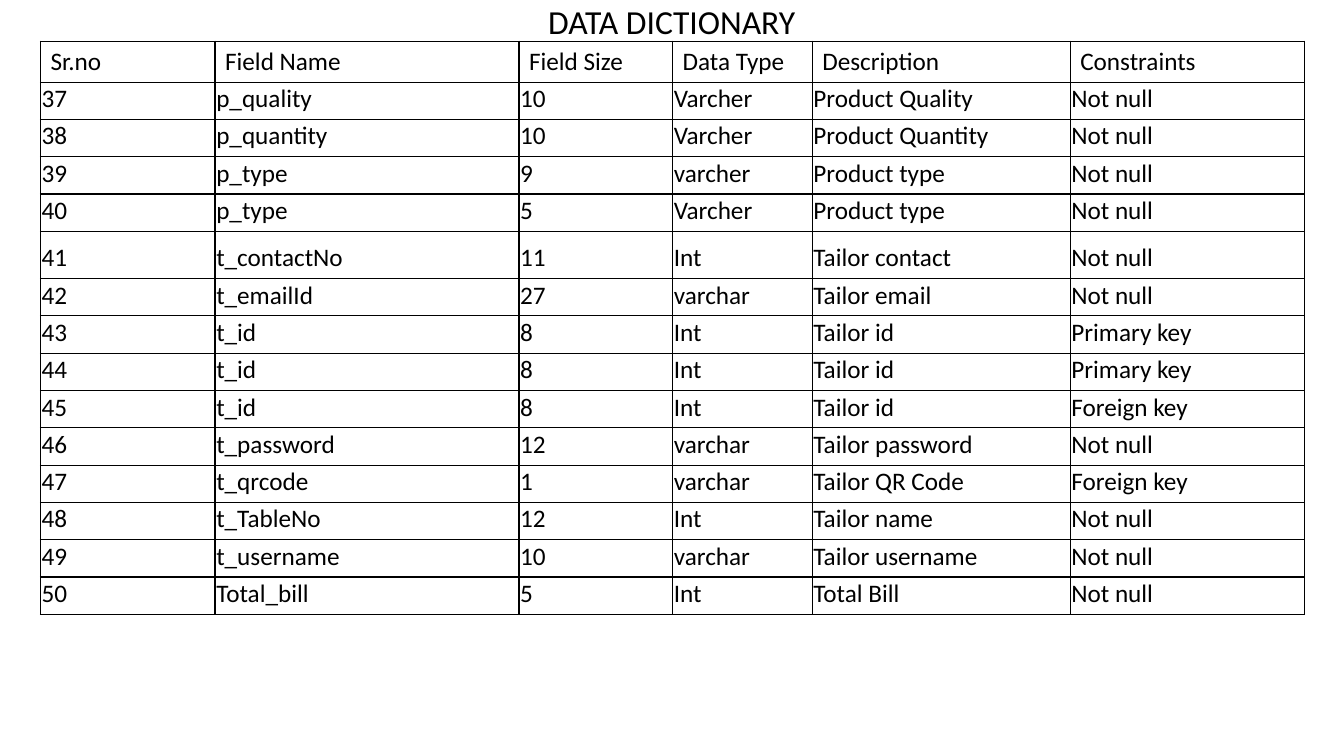
import pptx
import pptx.dml.color
import pptx.enum.text
import pptx.oxml
import pptx.oxml.ns
import pptx.util

Cm = pptx.util.Cm
Pt = pptx.util.Pt
Anchor = pptx.enum.text.MSO_ANCHOR

# Content
TITLE = "DATA DICTIONARY"
HEADINGS = ("Sr.no", "Field Name", "Field Size", "Data Type", "Description", "Constraints")
FIRST_NUMBER = 37
FIELDS = [
    ("p_quality", "10", "Varcher", "Product Quality", "Not null"),
    ("p_quantity", "10", "Varcher", "Product Quantity", "Not null"),
    ("p_type", "9", "varcher", "Product type", "Not null"),
    ("p_type", "5", "Varcher", "Product type", "Not null"),
    ("t_contactNo", "11", "Int", "Tailor contact", "Not null"),
    ("t_emailId", "27", "varchar", "Tailor email", "Not null"),
    ("t_id", "8", "Int", "Tailor id", "Primary key"),
    ("t_id", "8", "Int", "Tailor id", "Primary key"),
    ("t_id", "8", "Int", "Tailor id", "Foreign key"),
    ("t_password", "12", "varchar", "Tailor password", "Not null"),
    ("t_qrcode", "1", "varchar", "Tailor QR Code", "Foreign key"),
    ("t_TableNo", "12", "Int", "Tailor name", "Not null"),
    ("t_username", "10", "varchar", "Tailor username", "Not null"),
    ("Total_bill", "5", "Int", "Total Bill", "Not null"),
]

# Measures in centimetres
COLUMN_WIDTHS = (4.4, 7.66, 3.87, 3.52, 6.5, 5.9)
HEADER_HEIGHT, FIELD_HEIGHT, TALL_HEIGHT = 1.02, 0.94, 1.19
TALL_FIELD = "t_contactNo"
FONT, BLACK = "Calibri", "000000"


def color(value):
    return pptx.dml.color.RGBColor.from_string(value)


def format_text(frame, size):
    for para in frame.paragraphs:
        for span in para.runs:
            span.font.name = FONT
            span.font.size = Pt(size)
            span.font.bold = False
            span.font.color.rgb = color(BLACK)


def add_borders(cell, width=1):
    properties = cell._tc.get_or_add_tcPr()
    for position, side in enumerate(("lnL", "lnR", "lnT", "lnB")):
        line = pptx.oxml.parse_xml(
            f'<a:{side} {pptx.oxml.ns.nsdecls("a")} w="{Pt(width)}">'
            f'<a:solidFill><a:srgbClr val="{BLACK}"/></a:solidFill></a:{side}>')
        properties.insert(position, line)


def add_title(page):
    title = page.shapes.title
    title.left, title.top, title.width, title.height = Cm(4.23), Cm(0), Cm(25.4), Cm(1.32)
    frame = title.text_frame
    frame.text = TITLE
    frame.auto_size = pptx.enum.text.MSO_AUTO_SIZE.NONE
    frame.vertical_anchor = Anchor.TOP
    para = frame.paragraphs[0]
    para.alignment = pptx.enum.text.PP_ALIGN.CENTER
    para.line_spacing = 0.9
    para.space_before = Pt(10)
    format_text(frame, 24)


def add_dictionary(page):
    rows = [HEADINGS] + [(str(number), *field)
                         for number, field in enumerate(FIELDS, FIRST_NUMBER)]
    heights = [HEADER_HEIGHT] + [TALL_HEIGHT if field[0] == TALL_FIELD else FIELD_HEIGHT
                                 for field in FIELDS]
    table = page.shapes.add_table(len(rows), len(HEADINGS), Cm(1.02), Cm(1.04),
                                  Cm(sum(COLUMN_WIDTHS)), Cm(sum(heights))).table
    table.first_row = table.horz_banding = False
    for column, width in zip(table.columns, COLUMN_WIDTHS):
        column.width = Cm(width)

    for row_index, (values, height) in enumerate(zip(rows, heights)):
        table.rows[row_index].height = Cm(height)
        for cell, value in zip(table.rows[row_index].cells, values):
            cell.text_frame.text = value
            format_text(cell.text_frame, 18)
            cell.fill.background()
            add_borders(cell)
            if row_index > 0:
                cell.vertical_anchor = Anchor.BOTTOM
                cell.margin_left = cell.margin_top = cell.margin_right = Cm(0.03)


def main():
    deck = pptx.Presentation()
    deck.slide_width, deck.slide_height = Cm(33.87), Cm(19.05)
    page = deck.slides.add_slide(deck.slide_layouts.get_by_name("Title Only"))
    add_title(page)
    add_dictionary(page)
    deck.save("out.pptx")


if __name__ == "__main__":
    main()
